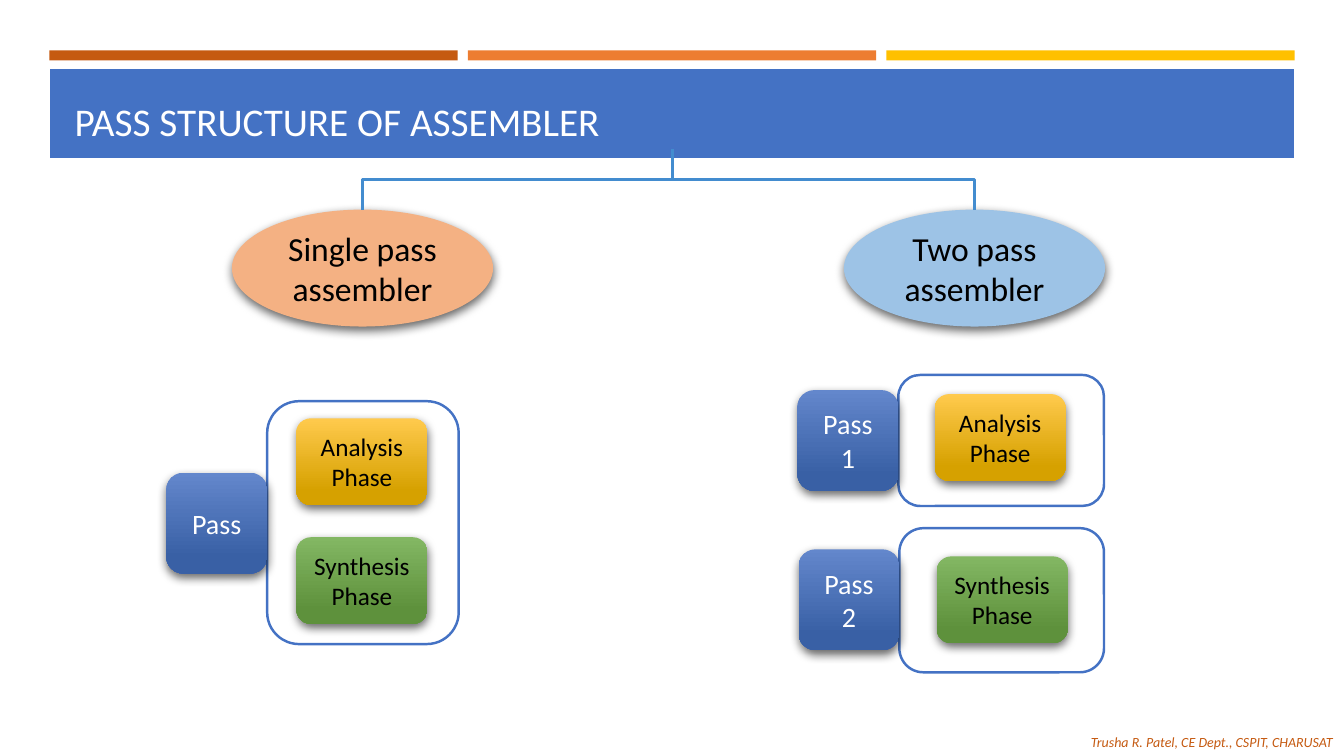
from lxml import etree
from pptx import Presentation
from pptx.dml.color import RGBColor
from pptx.enum import shapes, text
from pptx.oxml.ns import qn
from pptx.util import Inches, Pt


class Theme:
    font = "Calibri"
    white, black = "FFFFFF", "000000"
    blue, rust, orange, gold = "4472C4", "C55A11", "ED7D31", "FFC000"
    connector = "438CCF"
    peach, sky = "F4B183", "9DC3E6"
    pass_fill = ("6387CC", "3960A5")
    analysis_fill = ("FFCA4D", "D6A100")
    synthesis_fill = ("83B763", "5E913C")
    title_size, type_size, pass_size, phase_size, footer_size = 28, 24, 20, 18, 10


TITLE = "PASS STRUCTURE OF ASSEMBLER"
FOOTER = "Trusha R. Patel, CE Dept., CSPIT, CHARUSAT"
HEADER_BARS = [Theme.rust, Theme.orange, Theme.gold]
# label, fill, left
ASSEMBLER_TYPES = [
    ("Single pass assembler", Theme.peach, 2.3),
    ("Two pass assembler", Theme.sky, 8.37),
]
ANALYSIS = ("Analysis\nPhase", Theme.analysis_fill)
SYNTHESIS = ("Synthesis\nPhase", Theme.synthesis_fill)
# label, pass top, frame (left, top, width, height), phases (phase, left, top)
PASSES = [
    ("Pass\n1", 3.87, (8.91, 3.72, 2.04, 1.3), [(ANALYSIS, 9.27, 3.91)]),
    ("Pass\n2", 5.45, (8.92, 5.24, 2.03, 1.43), [(SYNTHESIS, 9.29, 5.52)]),
    ("Pass", 4.69, (2.65, 3.98, 1.9, 2.41),
     [(ANALYSIS, 2.94, 4.15), (SYNTHESIS, 2.94, 5.33)]),
]
TYPE_TOP, TYPE_WIDTH, TYPE_HEIGHT = 2.08, 2.59, 1.16
PASS_SIDE = 1
PHASE_WIDTH, PHASE_HEIGHT = 1.3, 0.86
BRANCH_X, BRANCH_TOP = 6.67, 1.48
BAR_LEFT, BAR_TOP, BAR_WIDTH, BAR_HEIGHT, BAR_STEP = 0.49, 0.5, 4.05, 0.1, 4.15


def rgb(value):
    return RGBColor.from_string(value)


def write(shape, content, size, color, align=text.PP_ALIGN.CENTER, italic=False):
    shape.text_frame.text = content
    for paragraph in shape.text_frame.paragraphs:
        paragraph.alignment = align
        for run in paragraph.runs:
            run.font.name = Theme.font
            run.font.size = Pt(size)
            run.font.italic = italic
            run.font.color.rgb = rgb(color)


def add_effects(shape):
    return etree.SubElement(shape._element.spPr, qn("a:effectLst"))


def add_soft_shadow(shape):
    shape._element.spPr.remove(shape._element.spPr.find(qn("a:effectLst")))
    shadow = etree.SubElement(
        add_effects(shape), qn("a:outerShdw"), blurRad=str(Pt(7)), dist=str(Pt(3)),
        dir=str(84 * 60000), algn="ctr", rotWithShape="0")
    color = etree.SubElement(shadow, qn("a:srgbClr"), val=Theme.black)
    etree.SubElement(color, qn("a:alpha"), val="60000")


def add_box(slide, kind, box, fill=None, line=None, line_width=1.75):
    """Add a preset shape; a pair of colours as fill makes a vertical gradient."""
    shape = slide.shapes.add_shape(kind, *map(Inches, box))
    shape.shadow.inherit = False
    if fill is None:
        shape.fill.background()
    elif isinstance(fill, tuple):
        shape.fill.gradient()
        shape.fill.gradient_angle = 270
        for stop, color, position in zip(shape.fill.gradient_stops, fill, (0, 0.84)):
            stop.color.rgb = rgb(color)
            stop.position = position
    else:
        shape.fill.solid()
        shape.fill.fore_color.rgb = rgb(fill)
    if line:
        shape.line.color.rgb = rgb(line)
        shape.line.width = Pt(line_width)
    else:
        shape.line.fill.background()
    return shape


def add_node(slide, kind, box, fill, label, size, color):
    shape = add_box(slide, kind, box, fill)
    add_soft_shadow(shape)
    shape.text_frame.word_wrap = True
    shape.text_frame.vertical_anchor = text.MSO_ANCHOR.MIDDLE
    write(shape, label, size, color)


def add_branch(slide, end_x):
    """Elbow that leaves and arrives vertically: a horizontal one, turned."""
    drop, span = TYPE_TOP - BRANCH_TOP, abs(end_x - BRANCH_X)
    left = (BRANCH_X + end_x - drop) / 2
    top = (BRANCH_TOP + TYPE_TOP - span) / 2
    connector = slide.shapes.add_connector(
        shapes.MSO_CONNECTOR.ELBOW, Inches(left), Inches(top),
        Inches(left + drop), Inches(top + span))
    transform = connector._element.spPr.find(qn("a:xfrm"))
    to_right = end_x > BRANCH_X
    transform.set("rot", str((270 if to_right else 90) * 60000))
    if to_right:
        transform.set("flipH", "1")
    connector.line.color.rgb = rgb(Theme.connector)
    connector.line.width = Pt(2.25)
    add_effects(connector)


def add_header(slide):
    rectangle = shapes.MSO_SHAPE.RECTANGLE
    add_box(slide, rectangle, (0.48, 0.67, 12.37, 0.91), Theme.blue, Theme.white, 2)
    for index, color in enumerate(HEADER_BARS):
        left = BAR_LEFT + index * BAR_STEP
        add_box(slide, rectangle, (left, BAR_TOP, BAR_WIDTH, BAR_HEIGHT), color)
    title = slide.shapes.title
    slide.shapes._spTree.append(title._element)
    title.left, title.top, title.width, title.height = map(
        Inches, (0.64, 0.77, 12.06, 0.71))
    write(title, TITLE, Theme.title_size, Theme.white, text.PP_ALIGN.LEFT)
    title.text_frame.vertical_anchor = text.MSO_ANCHOR.BOTTOM
    title.text_frame.auto_size = text.MSO_AUTO_SIZE.NONE


def add_footer(slide):
    footer = slide.shapes.add_textbox(*map(Inches, (10.72, 7.23, 2.61, 0.27)))
    footer.text_frame.word_wrap = False
    write(footer, FOOTER, Theme.footer_size, Theme.rust, text.PP_ALIGN.LEFT, True)


def main():
    presentation = Presentation()
    presentation.slide_width, presentation.slide_height = Inches(13.33), Inches(7.5)
    slide = presentation.slides.add_slide(presentation.slide_layouts[5])
    add_footer(slide)
    add_header(slide)
    for label, fill, left in ASSEMBLER_TYPES:
        add_node(slide, shapes.MSO_SHAPE.OVAL,
                 (left, TYPE_TOP, TYPE_WIDTH, TYPE_HEIGHT),
                 fill, label, Theme.type_size, Theme.black)
        add_branch(slide, left + TYPE_WIDTH / 2)
    rounded = shapes.MSO_SHAPE.ROUNDED_RECTANGLE
    for label, top, frame, phases in PASSES:
        add_box(slide, rounded, frame, line=Theme.blue)
        add_node(slide, rounded, (frame[0] - PASS_SIDE, top, PASS_SIDE, PASS_SIDE),
                 Theme.pass_fill, label, Theme.pass_size, Theme.white)
        for (phase, fill), left, phase_top in phases:
            add_node(slide, rounded, (left, phase_top, PHASE_WIDTH, PHASE_HEIGHT),
                     fill, phase, Theme.phase_size, Theme.black)
    presentation.save("out.pptx")


if __name__ == "__main__":
    main()
